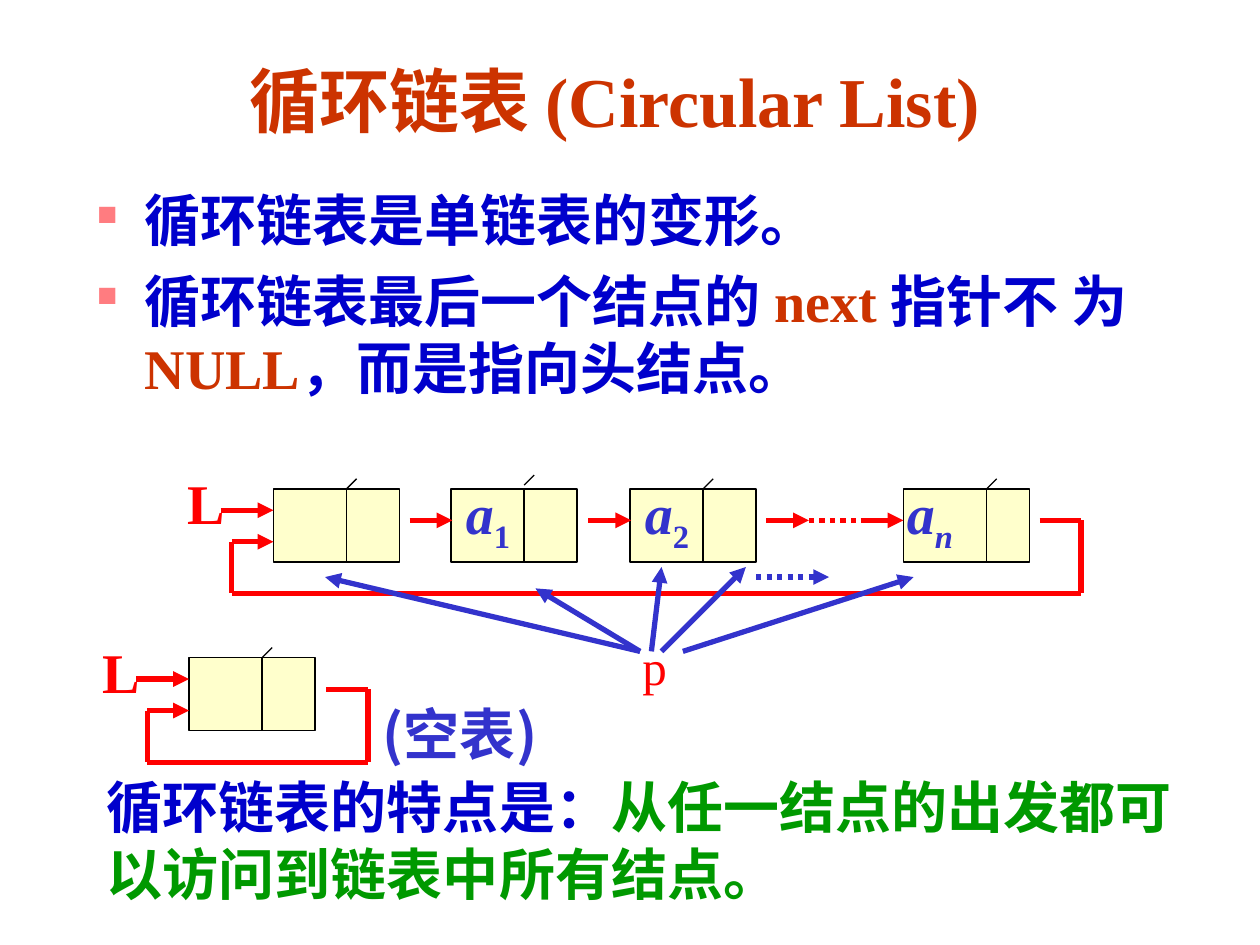
from dataclasses import dataclass

from lxml import etree
from pptx import Presentation
from pptx import util as u
from pptx.dml.color import RGBColor
from pptx.enum import dml, shapes, text
from pptx.oxml import ns

COLORS = {
    "title": "CC3300", "body": "0000CC", "bullet": "FF7C80", "node": "FFFFCC",
    "black": "000000", "link": "FF0000", "pointer": "3333CC", "feature": "009900",
}
LATIN, CJK = "Times New Roman", "Noto Sans CJK SC"
NODE_WIDTH, NODE_HEIGHT = 1, 0.58
NODE_TOP, EMPTY_TOP = 3.88, 5.22
LINK_Y = NODE_TOP + 0.25


@dataclass
class Run:
    text: str
    color: str
    size: float = 32
    bold: bool = True
    italic: bool = False
    baseline: int = 0
    latin: str = LATIN


@dataclass
class Node:
    left: float
    top: float = NODE_TOP
    split: float = 0.58
    tick_lift: float = 0
    name: str = ""
    index: str = ""
    label_left: float = 0


def rgb(name: str) -> RGBColor:
    return RGBColor.from_string(COLORS[name])


def add_runs(paragraph, runs: list[Run]) -> None:
    for item in runs:
        run = paragraph.add_run()
        run.text = item.text
        formats = {"name": item.latin, "size": u.Pt(item.size),
                   "bold": item.bold, "italic": item.italic}
        for key, value in formats.items():
            setattr(run.font, key, value)
        run.font.color.rgb = rgb(item.color)
        properties = run._r.get_or_add_rPr()
        if item.baseline:
            properties.set("baseline", str(item.baseline * 1000))
        etree.SubElement(properties, ns.qn("a:ea")).set("typeface", CJK)


def add_text(slide, left: float, top: float, width: float, height: float,
             paragraphs: list[list[Run]],
             align=text.PP_ALIGN.LEFT, anchor=text.MSO_ANCHOR.TOP):
    box = slide.shapes.add_textbox(*map(u.Inches, (left, top, width, height)))
    frame = box.text_frame
    frame.word_wrap = True
    frame.vertical_anchor = anchor
    for number, runs in enumerate(paragraphs):
        paragraph = frame.add_paragraph() if number else frame.paragraphs[0]
        paragraph.alignment = align
        add_runs(paragraph, runs)
    return frame


def add_bullet(paragraph) -> None:
    paragraph.space_before = u.Pt(8)
    properties = paragraph._p.get_or_add_pPr()
    properties.set("marL", str(u.Inches(0.38)))
    properties.set("indent", str(u.Inches(-0.38)))
    color = etree.SubElement(properties, ns.qn("a:buClr"))
    etree.SubElement(color, ns.qn("a:srgbClr")).set("val", COLORS["bullet"])
    etree.SubElement(properties, ns.qn("a:buSzPct")).set("val", "50000")
    etree.SubElement(properties, ns.qn("a:buChar")).set("char", "■")


def add_line(slide, x1: float, y1: float, x2: float, y2: float, color: str = "link",
             width: float = 3, arrow: bool = False, dotted: bool = False) -> None:
    line = slide.shapes.add_connector(
        shapes.MSO_CONNECTOR.STRAIGHT, *map(u.Inches, (x1, y1, x2, y2)))
    line.line.color.rgb = rgb(color)
    line.line.width = u.Pt(width)
    if dotted:
        line.line.dash_style = dml.MSO_LINE.ROUND_DOT
    if arrow:
        outline = line.line._get_or_add_ln()
        etree.SubElement(outline, ns.qn("a:tailEnd")).set("type", "triangle")
    etree.SubElement(line._element.spPr, ns.qn("a:effectLst"))


def add_node(slide, node: Node) -> None:
    box = slide.shapes.add_shape(
        shapes.MSO_SHAPE.RECTANGLE,
        *map(u.Inches, (node.left, node.top, NODE_WIDTH, NODE_HEIGHT)))
    box.shadow.inherit = False
    box.fill.solid()
    box.fill.fore_color.rgb = rgb("node")
    box.line.color.rgb = rgb("black")
    box.line.width = u.Pt(0.75)
    split = node.left + node.split
    tick = node.top - node.tick_lift
    add_line(slide, split, node.top, split, node.top + NODE_HEIGHT, "black", 0.75)
    add_line(slide, split, tick, split + 0.08, tick - 0.08, "black", 0.75)
    if node.name:
        label = [Run(node.name, "pointer", italic=True),
                 Run(node.index, "pointer", italic=node.index == "n", baseline=-25)]
        add_text(slide, node.label_left, 3.75, 0.7, 0.71, [label])


def add_loop(slide, left: float, top: float, right: float) -> None:
    """Head pointer L and the link from the last node back to the head at left."""
    back_x, back_y, bottom = left - 0.33, top + 0.42, top + 0.83
    add_line(slide, left - 0.42, top + 0.17, left, top + 0.17, arrow=True)
    add_line(slide, back_x, back_y, left, back_y, arrow=True)
    add_line(slide, back_x, back_y, back_x, bottom)
    add_line(slide, back_x, bottom, right, bottom)
    add_line(slide, right - 0.33, top + 0.25, right, top + 0.25)
    add_line(slide, right, top + 0.25, right, bottom)
    add_text(slide, left - 1.34, top - 0.21, 1.05, 0.64, [[Run("L", "link")]],
             align=text.PP_ALIGN.RIGHT)


def main() -> None:
    presentation = Presentation()
    presentation.slide_width = u.Inches(10)
    presentation.slide_height = u.Inches(7.5)
    slide = presentation.slides.add_slide(presentation.slide_layouts[6])

    # Title and bullets
    add_text(slide, 1.67, 0.33, 6.42, 0.92,
             [[Run("循环链表 (Circular List)", "title", 40)]],
             align=text.PP_ALIGN.CENTER, anchor=text.MSO_ANCHOR.MIDDLE)
    body = add_text(slide, 0.67, 1.42, 9.08, 2.08, [
        [Run("循环链表是单链表的变形。", "body")],
        [Run("循环链表最后一个结点的 ", "body"), Run("next ", "title"),
         Run("指针不 为", "body"), Run("NULL", "title"),
         Run("，而是指向头结点。", "body")],
    ])
    for paragraph in body.paragraphs:
        add_bullet(paragraph)

    # Circular list
    for node in (Node(2.17),
                 Node(3.58, tick_lift=0.03, name="a", index="1", label_left=3.6),
                 Node(5, name="a", index="2", label_left=5.02),
                 Node(7.17, split=0.66, name="a", index="n", label_left=7.1)):
        add_node(slide, node)
    for start in (3.25, 4.67, 6.08, 6.83):
        add_line(slide, start, LINK_Y, start + 0.34, LINK_Y, arrow=True)
    add_line(slide, 6.42, LINK_Y, 6.92, LINK_Y, dotted=True)
    add_loop(slide, 2.17, NODE_TOP, 8.58)

    # Pointer p visiting the nodes
    add_text(slide, 5, 5, 0.45, 0.57, [[Run("p", "link", 28, bold=False)]])
    for start, end_x, end_y in ((5.17, 5.25, 4.5), (5.25, 5.92, 4.5), (5.42, 7.25, 4.58),
                                (5.08, 2.58, 4.58), (5.08, 4.25, 4.67)):
        add_line(slide, start, 5.17, end_x, end_y, "pointer", arrow=True)
    add_line(slide, 6, 4.58, 6.58, 4.58, "pointer", arrow=True, dotted=True)

    # Feature statement
    add_text(slide, 0.75, 6.08, 9.08, 1.17, [[
        Run("循环链表的特点是：", "body"),
        Run("从任一结点的出发都可以访问到链表中所有结点。", "feature")]])

    # Empty list
    add_node(slide, Node(1.5, EMPTY_TOP))
    add_loop(slide, 1.5, EMPTY_TOP, 2.92)
    add_text(slide, 2.94, 5.5, 1.84, 0.64, [[Run("(空表)", "pointer", latin=CJK)]])

    presentation.save("out.pptx")


if __name__ == "__main__":
    main()
